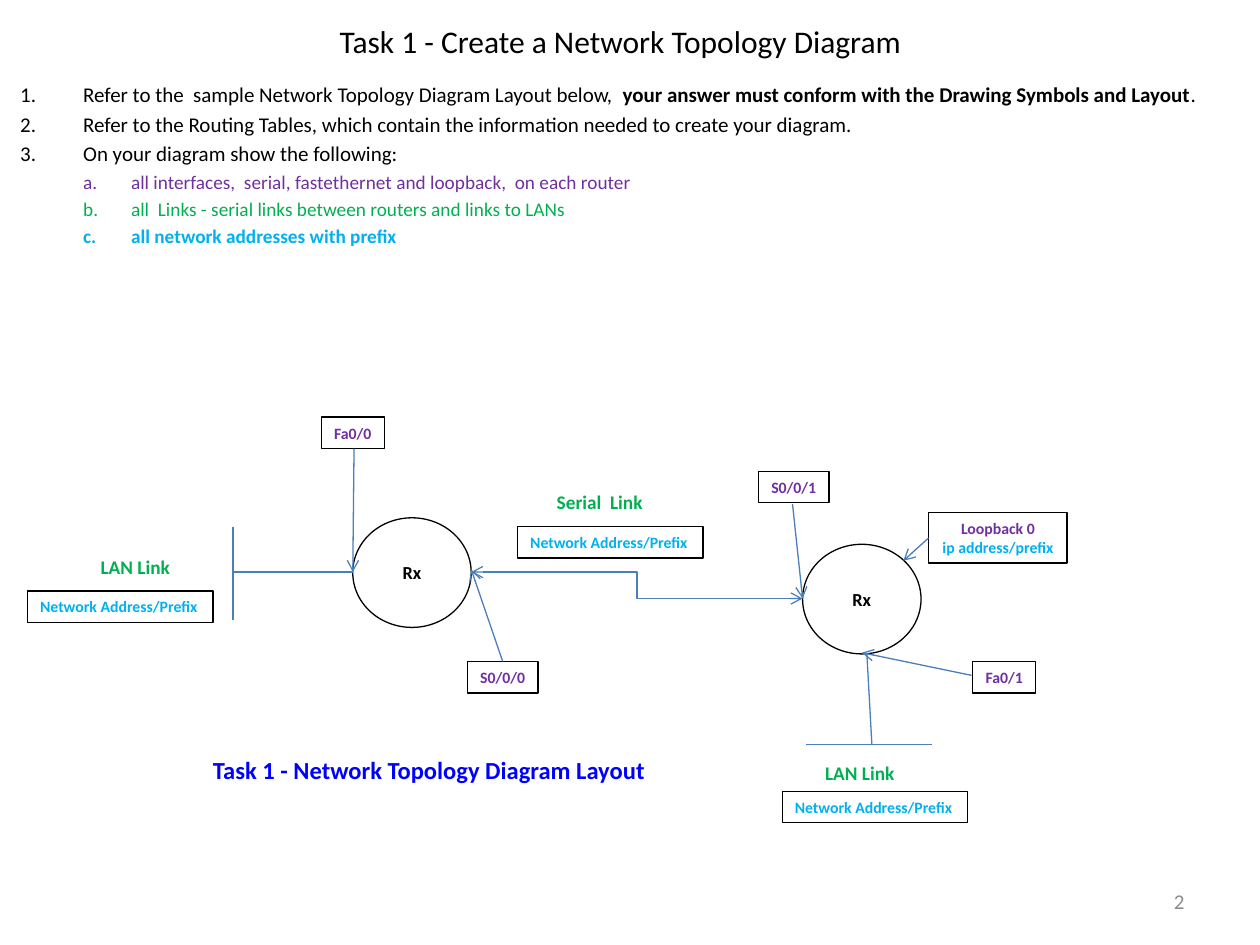
"""Build the network topology task slide."""
from lxml import etree
from pptx import Presentation
from pptx.dml.color import RGBColor
from pptx.enum.shapes import MSO_CONNECTOR, MSO_SHAPE
from pptx.enum.text import MSO_ANCHOR, MSO_AUTO_SIZE, PP_ALIGN
from pptx.oxml.ns import qn
from pptx.util import Inches, Pt

LEFT, CENTER, RIGHT = PP_ALIGN.LEFT, PP_ALIGN.CENTER, PP_ALIGN.RIGHT
MIDDLE, TOP = MSO_ANCHOR.MIDDLE, MSO_ANCHOR.TOP
STRAIGHT, ELBOW = MSO_CONNECTOR.STRAIGHT, MSO_CONNECTOR.ELBOW
OVAL, RECTANGLE = MSO_SHAPE.OVAL, MSO_SHAPE.RECTANGLE
NO_FIT = MSO_AUTO_SIZE.NONE

THEME = {
    "font": "Calibri",
    "ink": "000000", "paper": "FFFFFF", "interface": "7030A0", "link": "00B050",
    "address": "00B0F0", "caption": "0000FF", "number": "8C8C8C", "wire": "4B7EBC",
    "title_size": 18, "body_size": 12, "sub_size": 11, "link_size": 11,
    "router_size": 10.5, "tag_size": 9, "caption_size": 14, "line": 0.75,
}

presentation = Presentation()
presentation.slide_width, presentation.slide_height = Inches(10), Inches(7.5)
COLUMN = presentation.slide_width / 100
ROW = presentation.slide_height / 75
slide = presentation.slides.add_slide(presentation.slide_layouts[1])


def write(paragraph, text, size, color="ink", bold=False, align=LEFT):
    """Add one formatted run to a paragraph."""
    paragraph.alignment = align
    run = paragraph.add_run()
    run.text = text
    run.font.name = THEME["font"]
    run.font.size = Pt(THEME[size])
    run.font.bold = bold
    run.font.color.rgb = RGBColor.from_string(THEME[color])


def place(shape, left, top, width, height, wrap=True, anchor=TOP):
    """Put a shape on the grid and return its text frame."""
    shape.left, shape.width = round(left * COLUMN), round(width * COLUMN)
    shape.top, shape.height = round(top * ROW), round(height * ROW)
    frame = shape.text_frame
    frame.auto_size, frame.word_wrap, frame.vertical_anchor = NO_FIT, wrap, anchor
    return frame


title = place(slide.shapes.title, 2.8, 1.3, 92.9, 3.9, anchor=MIDDLE)
write(title.paragraphs[0], "Task 1 - Create a Network Topology Diagram", "title_size", align=CENTER)

steps = [
    (0, "ink", [("Refer to the  sample Network Topology Diagram Layout below,  ", False),
                ("your answer must conform with the Drawing Symbols and Layout", True),
                (".", False)]),
    (0, "ink", [("Refer to the Routing Tables, which contain the information needed "
                 "to create your diagram.", False)]),
    (0, "ink", [("On your diagram show the following:", False)]),
    (1, "interface", [("all interfaces,  serial, fastethernet and loopback,  on each router", False)]),
    (1, "link", [("all  Links - serial links between routers and links to LANs", False)]),
    (1, "address", [("all network addresses with prefix", True)]),
]
levels = [("body_size", 5.6, 5, "arabicPeriod"), ("sub_size", 9.4, 3.8, "alphaLcPeriod")]
body = place(slide.placeholders[1], 0, 6, 100, 23.6)
for index, (level, color, runs) in enumerate(steps):
    size, margin, hanging, numbering = levels[level]
    paragraph = body.add_paragraph() if index else body.paragraphs[0]
    paragraph.level = level
    for text, bold in runs:
        write(paragraph, text, size, color, bold)
    properties = paragraph._p.get_or_add_pPr()
    properties.set("marL", str(round(margin * COLUMN)))
    properties.set("indent", str(round(-hanging * COLUMN)))
    etree.SubElement(properties, qn("a:buFont"), typeface="+mj-lt")
    etree.SubElement(properties, qn("a:buAutoNum"), type=numbering)

wires = [
    (ELBOW, 37.4, 45.4, 63.7, 47.5, ["headEnd", "tailEnd"]),
    (STRAIGHT, 28, 45.4, 18.5, 45.4, []),
    (STRAIGHT, 18.5, 41.8, 18.5, 49.2, []),
    (STRAIGHT, 39.9, 52.5, 37.4, 45.2, ["tailEnd"]),
    (STRAIGHT, 62.9, 40, 63.7, 47.5, ["tailEnd"]),
    (STRAIGHT, 28.1, 35.6, 28, 45.4, ["tailEnd"]),
    (STRAIGHT, 68.8, 51.9, 69.2, 59.1, []),
    (STRAIGHT, 64, 59.1, 74, 59.1, []),
    (STRAIGHT, 77.1, 53.6, 68.4, 51.8, ["tailEnd"]),
    (STRAIGHT, 73.7, 42.7, 71.7, 44.5, ["tailEnd"]),
]
router = [("Rx", "ink")]
address = [("Network Address/Prefix", "address")]
nodes = [
    (OVAL, 28, 41.1, 9.4, 8.7, router, CENTER),
    (OVAL, 63.7, 43.2, 9.4, 8.7, router, CENTER),
    (RECTANGLE, 37.1, 52.5, 5.6, 2.5, [("S0/0/0", "interface")], CENTER),
    (RECTANGLE, 60.2, 37.4, 5.6, 2.5, [("S0/0/1", "interface")], CENTER),
    (RECTANGLE, 25.5, 33.1, 5, 2.5, [("Fa0/0", "interface")], CENTER),
    (RECTANGLE, 77.2, 52.5, 5, 2.5, [("Fa0/1", "interface")], CENTER),
    (RECTANGLE, 2.2, 46.9, 14.7, 2.5, address, LEFT),
    (RECTANGLE, 62.1, 62.8, 14.7, 2.5, address, LEFT),
    (RECTANGLE, 41.1, 41.8, 14.7, 2.5, address, LEFT),
    (RECTANGLE, 73.7, 40.7, 11, 4,
     [("Loopback 0", "interface"), ("ip address/prefix", "address")], CENTER),
]
for kind, left, top, width, height, lines, align in nodes:
    shape = slide.shapes.add_shape(kind, 0, 0, 0, 0)
    shape.shadow.inherit = False
    if kind == OVAL:
        shape.fill.solid()
        shape.fill.fore_color.rgb = RGBColor.from_string(THEME["paper"])
    else:
        shape.fill.background()
    shape.line.color.rgb = RGBColor.from_string(THEME["ink"])
    shape.line.width = Pt(THEME["line"])
    frame = place(shape, left, top, width, height, wrap=False,
                  anchor=MIDDLE if kind == OVAL else TOP)
    for index, (text, color) in enumerate(lines):
        paragraph = frame.add_paragraph() if index else frame.paragraphs[0]
        size = "router_size" if kind == OVAL else "tag_size"
        write(paragraph, text, size, color, bold=True, align=align)

for kind, start_x, start_y, end_x, end_y, arrowheads in wires:
    connector = slide.shapes.add_connector(
        kind, round(start_x * COLUMN), round(start_y * ROW),
        round(end_x * COLUMN), round(end_y * ROW))
    connector.line.color.rgb = RGBColor.from_string(THEME["wire"])
    connector.line.width = Pt(THEME["line"])
    properties = connector._element.spPr
    outline = properties.find(qn("a:ln"))
    for arrowhead in arrowheads:
        etree.SubElement(outline, qn(f"a:{arrowhead}"), type="arrow")
    etree.SubElement(properties, qn("a:effectLst"))

labels = [
    (43.2, 38.4, 8.9, 2.9, "Serial  Link", "link_size", "link", True, LEFT, False, TOP),
    (7, 43.6, 7.6, 2.9, "LAN Link", "link_size", "link", True, LEFT, False, TOP),
    (64.5, 59.9, 7.6, 2.9, "LAN Link", "link_size", "link", True, LEFT, False, TOP),
    (7.3, 59.4, 53.5, 3.4, "Task 1 - Network Topology Diagram Layout",
     "caption_size", "caption", True, CENTER, True, TOP),
    (71.7, 69.5, 23.3, 4, "2", "body_size", "number", False, RIGHT, True, MIDDLE),
]
for left, top, width, height, text, size, color, bold, align, wrap, anchor in labels:
    label = slide.shapes.add_textbox(0, 0, 0, 0)
    frame = place(label, left, top, width, height, wrap, anchor)
    write(frame.paragraphs[0], text, size, color, bold, align)

presentation.save("out.pptx")
